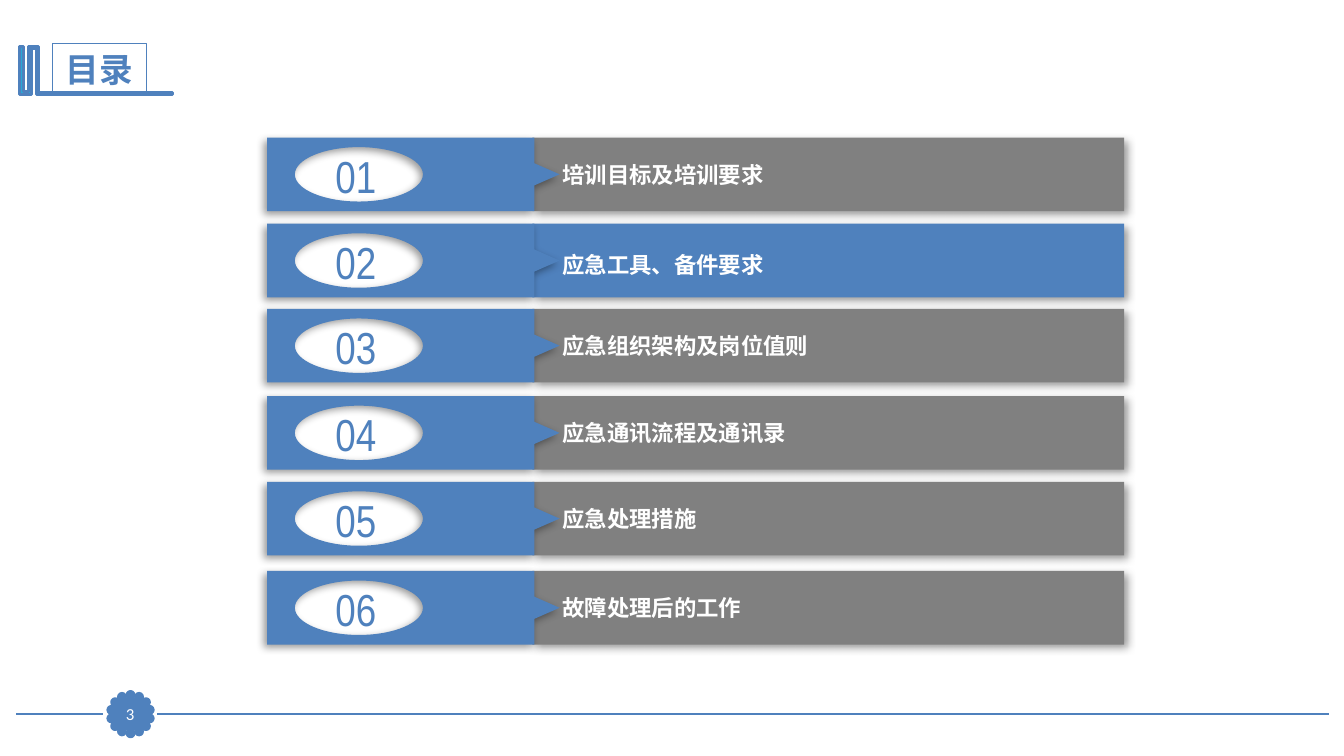
from dataclasses import dataclass
from math import cos, pi, sin

from lxml.etree import SubElement
from pptx import Presentation
from pptx.dml.color import RGBColor
from pptx.enum.shapes import MSO_CONNECTOR, MSO_SHAPE
from pptx.enum.text import MSO_ANCHOR, MSO_AUTO_SIZE, PP_ALIGN
from pptx.oxml.ns import qn
from pptx.util import Inches, Pt


@dataclass(frozen=True)
class Theme:
    blue: str = "4F81BD"
    grey: str = "808080"
    cyan: str = "28A9D6"
    white: str = "FFFFFF"
    black: str = "000000"
    heading_font: str = "Arial Narrow"
    body_font: str = "Calibri"
    title: int = 24
    number: int = 32
    label: int = 16
    page: int = 12


THEME = Theme()
CELL = 0.1
ROW_HEIGHT = 7.3
TAB_LEFT = 26.5
KAPPA = 0.55
AGENDA = [
    (13.65, "培训目标及培训要求"),
    (22.2, "应急工具、备件要求"),
    (30.65, "应急组织架构及岗位值则"),
    (39.3, "应急通讯流程及通讯录"),
    (47.8, "应急处理措施"),
    (56.65, "故障处理后的工作"),
]
ACTIVE = 2
BOOKMARK = [
    (3.7, 4.6), (3.8, 4.6), (3.8, 9.2), (17.1, 9.2), (17.1, 9.4), (3.6, 9.4),
    (3.6, 4.8), (3.1, 4.8), (3.1, 9.4), (1.9, 9.4), (1.9, 4.6), (2.3, 4.6),
    (2.3, 9.1), (2.8, 9.1), (2.8, 4.6),
]


def cells(*counts):
    return [Inches(n * CELL) for n in counts]


def rgb(color):
    return RGBColor.from_string(color)


def paint(sp, fill, line=None, width=0.75):
    sp.shadow.inherit = False
    sp.fill.solid()
    sp.fill.fore_color.rgb = rgb(fill)
    if line:
        sp.line.color.rgb = rgb(line)
        sp.line.width = Pt(width)
    else:
        sp.line.fill.background()


def cast_shadow(sp, angle):
    effects = sp._element.spPr.find(qn("a:effectLst"))
    shadow = SubElement(effects, qn("a:outerShdw"), blurRad=str(Pt(6)), dist=str(Pt(3)),
                        dir=str(angle * 60000), algn="ctr", rotWithShape="0")
    color = SubElement(shadow, qn("a:srgbClr"), val=THEME.black)
    SubElement(color, qn("a:alpha"), val="40000")


def write(sp, text, size, font, color, bold=False, align=PP_ALIGN.CENTER,
          anchor=MSO_ANCHOR.MIDDLE):
    tf = sp.text_frame
    tf.word_wrap = True
    tf.auto_size = MSO_AUTO_SIZE.NONE
    tf.vertical_anchor = anchor
    p = tf.paragraphs[0]
    p.alignment = align
    r = p.add_run()
    r.text = text
    r.font.size = Pt(size)
    r.font.name = font
    r.font.bold = bold
    r.font.color.rgb = rgb(color)
    return tf


def add_block(shapes, kind, box, fill, line=None, width=0.75):
    sp = shapes.add_shape(kind, *cells(*box))
    paint(sp, fill, line, width)
    return sp


def add_outline(shapes, contours, fill, line=None, width=0.75):
    paths = [[cells(*point) for point in contour] for contour in contours]
    builder = shapes.build_freeform(*paths[0][0])
    builder.add_line_segments(paths[0][1:])
    for points in paths[1:]:
        builder.move_to(*points[0])
        builder.add_line_segments(points[1:])
    sp = builder.convert_to_shape()
    paint(sp, fill, line, width)
    return sp


def add_rule(shapes, start, end, row):
    s = shapes.add_connector(MSO_CONNECTOR.STRAIGHT, *cells(start, row, end, row))
    s.line.color.rgb = rgb(THEME.blue)
    s.line.width = Pt(1.25)
    SubElement(s._element.spPr, qn("a:effectLst"))


def ring(cx, cy, rx, ry, count):
    angles = [2 * pi * i / count for i in range(count)]
    return [(cx + rx * sin(a), cy - ry * cos(a)) for a in angles]


def oval_controls(cx, cy, rx, ry):
    points = [(0, -1)]
    for x, y in [(0, -1), (-1, 0), (0, 1), (1, 0)]:
        nx, ny = y, -x
        points += [(x + KAPPA * nx, y + KAPPA * ny), (nx + KAPPA * x, ny + KAPPA * y),
                   (nx, ny)]
    return [(cx + rx * x, cy + ry * y) for x, y in points]


def curve_first_contour(sp, segments):
    lines = list(sp._element.iter(qn("a:lnTo")))[:segments * 3]
    outline = lines[0].getparent()
    for i in range(0, len(lines), 3):
        curve = SubElement(outline, qn("a:cubicBezTo"))
        lines[i].addprevious(curve)
        for line in lines[i:i + 3]:
            curve.append(line[0])
            outline.remove(line)


def add_title(slide):
    title = slide.shapes.title
    title.left, title.top, title.width, title.height = cells(5.2, 4.3, 9.3, 5.1)
    title.fill.background()
    title.line.color.rgb = rgb(THEME.blue)
    title.line.width = Pt(0.75)
    write(title, "目录", THEME.title, THEME.heading_font, THEME.blue, bold=True)


def add_footer(slide, page):
    add_rule(slide.shapes, 131.8, 15.6, 70.85)
    add_rule(slide.shapes, 10.2, 1.55, 70.85)
    badge = slide.shapes.add_group_shape().shapes
    for x, y in ring(12.95, 70.85, 1.95, 1.9, 14):
        add_block(badge, MSO_SHAPE.OVAL, (x - 0.35, y - 0.35, 0.7, 0.7),
                  THEME.blue, THEME.blue, 2)
    sp = add_block(slide.shapes, MSO_SHAPE.RECTANGLE, (11.3, 69.3, 3.2, 3.1),
                   THEME.blue, THEME.blue)
    tf = write(sp, page, THEME.page, THEME.body_font, THEME.white)
    tf.margin_left = tf.margin_right = tf.margin_top = tf.margin_bottom = 0


def add_agenda_row(shapes, number, top, label):
    bottom, middle = top + ROW_HEIGHT, top + ROW_HEIGHT / 2
    active = number == ACTIVE

    bar = add_block(shapes, MSO_SHAPE.RECTANGLE, (52.8, top, 58.7, ROW_HEIGHT),
                    THEME.blue if active else THEME.grey)
    cast_shadow(bar, 45)

    window = oval_controls(35.6, middle, 6.35, 2.7)
    edge = [(TAB_LEFT, top), (53, top), (53, middle - 1.1), (55.5, middle),
            (53, middle + 1.1), (53, bottom), (TAB_LEFT, bottom)]
    tab = add_outline(shapes, [window, edge], THEME.blue)
    curve_first_contour(tab, 4)
    cast_shadow(tab, 135)

    box = shapes.add_textbox(*cells(30.65, top + 0.55, 9.3, 6.4))
    write(box, f"{number:02}", THEME.number, THEME.heading_font, THEME.blue)

    drop = 2.2 if active else 1.8
    box = shapes.add_textbox(*cells(54.8, top + drop, 56.1, 3.7))
    write(box, label, THEME.label, THEME.body_font, THEME.white, bold=True,
          align=PP_ALIGN.LEFT, anchor=MSO_ANCHOR.TOP)


def main():
    prs = Presentation()
    prs.slide_width, prs.slide_height = Inches(13.33), Inches(7.5)
    slide = prs.slides.add_slide(prs.slide_layouts[5])
    add_footer(slide, "3")
    add_outline(slide.shapes, [BOOKMARK], THEME.cyan, THEME.blue, 2)
    add_title(slide)
    agenda = slide.shapes.add_group_shape().shapes
    for number, (top, label) in enumerate(AGENDA, 1):
        add_agenda_row(agenda, number, top, label)
    prs.save("out.pptx")


if __name__ == "__main__":
    main()
